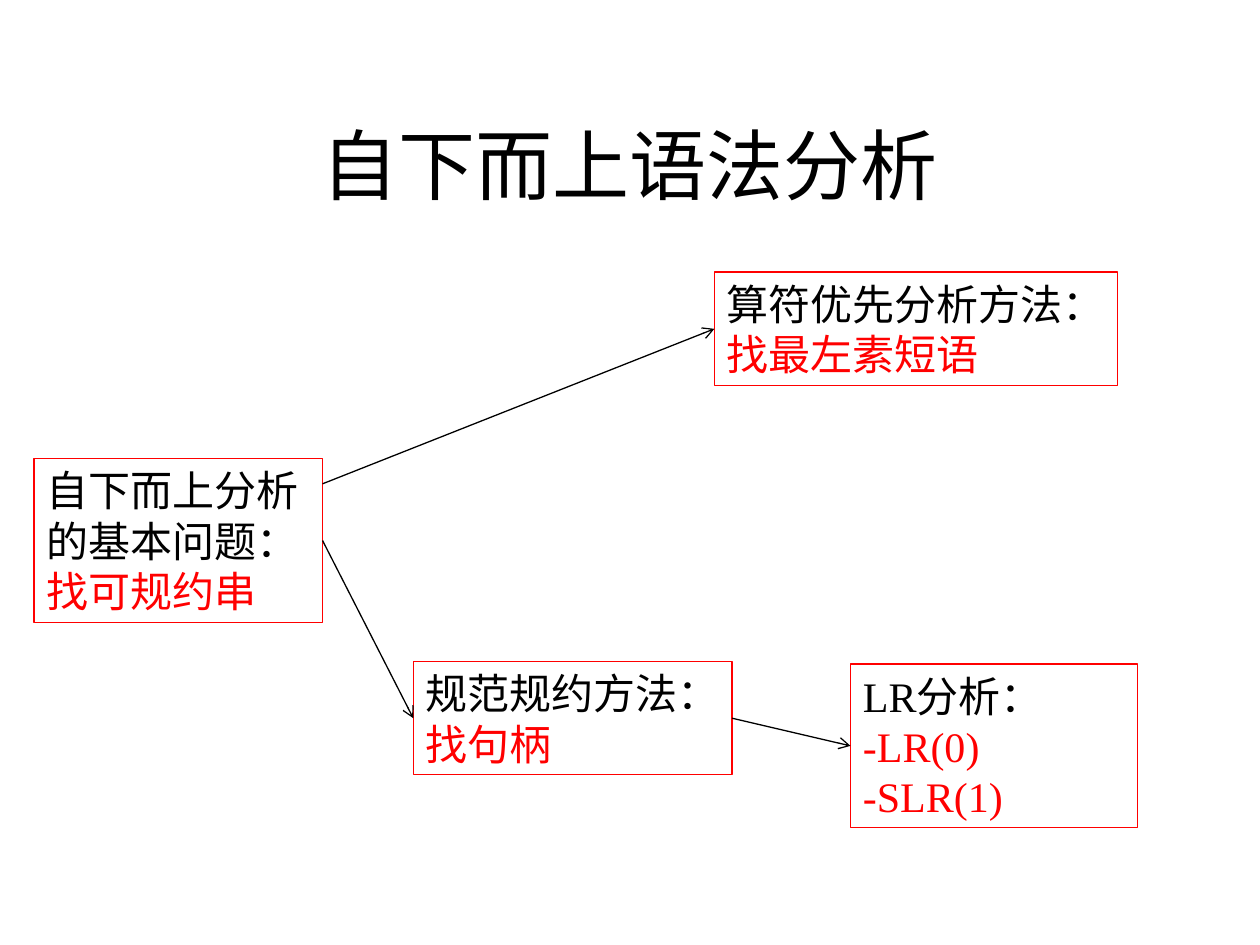
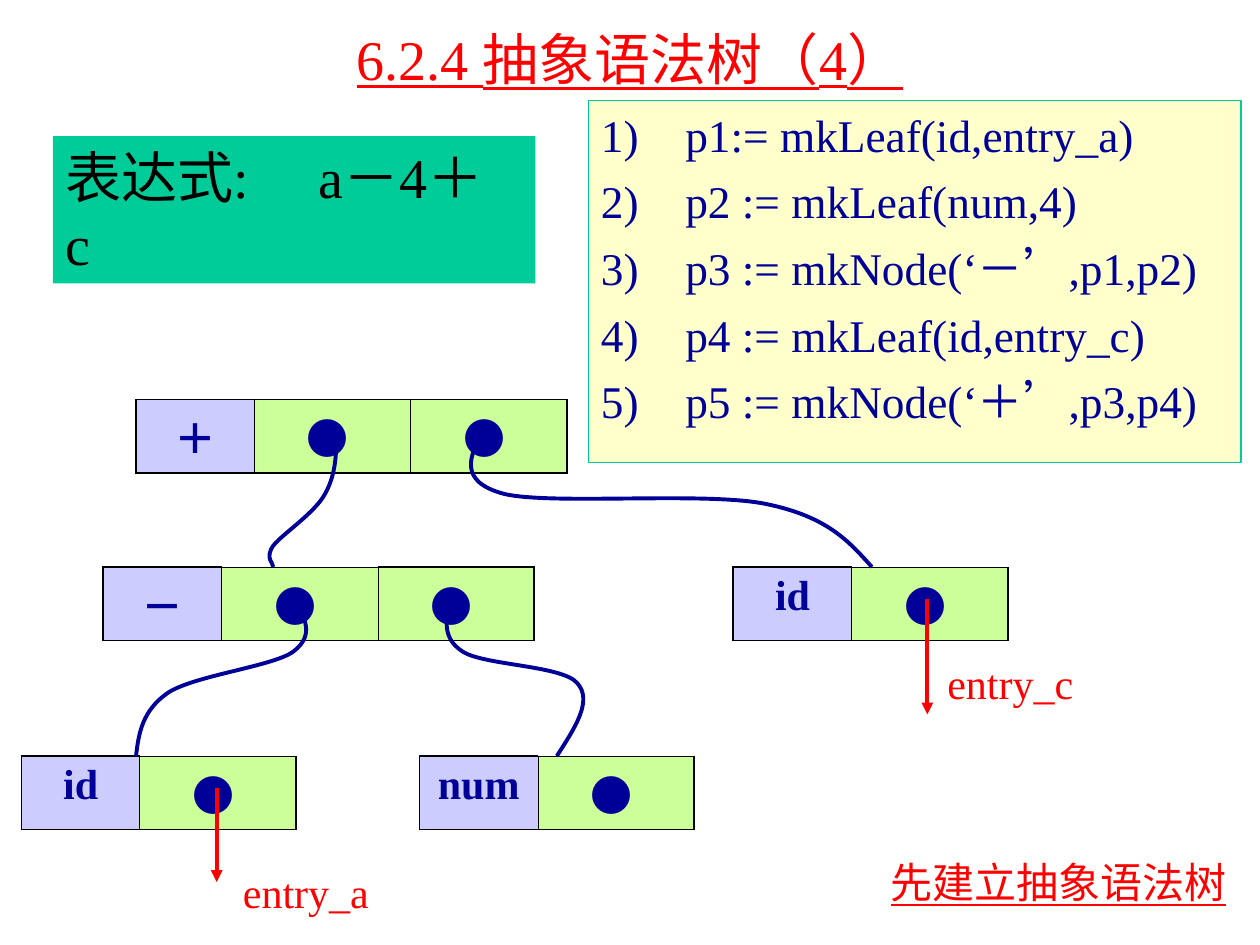
from dataclasses import dataclass

from lxml.etree import SubElement
from pptx import Presentation
from pptx.dml.color import RGBColor as RGB
from pptx.enum.shapes import MSO_CONNECTOR as CONN, MSO_SHAPE as SHAPE
from pptx.enum.text import MSO_ANCHOR as ANCHOR, MSO_AUTO_SIZE as FIT, PP_ALIGN as ALIGN
from pptx.oxml import parse_xml
from pptx.oxml.ns import nsdecls, qn
from pptx.util import Pt

EMU_PER_PX = 9144
LEFT, RIGHT = 1, 3


@dataclass(frozen=True)
class Theme:
    black: str = "000000"
    red: str = "FF0000"
    navy: str = "000099"
    teal: str = "00CC99"
    cream: str = "FFFFCC"
    lilac: str = "CCCCFF"
    lime: str = "CCFF99"
    font: str = "Times New Roman"
    cjk_font: str = "Noto Sans CJK SC"
    body: float = 24
    code: float = 25.9
    heading: float = 32
    title: float = 44
    hairline: float = 0.75
    thin: float = 0.45
    thick: float = 1.08
    curve: float = 2.25


T = Theme()
CELL_WIDTHS = (94, 124, 124)
CELL_HEIGHT = 50


def px(n):
    return round(n * EMU_PER_PX)


def apply(target, formats):
    for name, value in formats.items():
        setattr(target, name, value)


def add_run(p, text, color=T.black, size=T.body, font=T.font, **formats):
    r = p.add_run()
    r.text = text
    apply(r.font, {"name": font, "size": Pt(size), **formats})
    r.font.color.rgb = RGB.from_string(color)
    SubElement(r.font._element, qn("a:ea")).set("typeface", T.cjk_font)


def write(sp, lines, wrap=True, anchor=ANCHOR.TOP, align=ALIGN.LEFT, **formats):
    tf = sp.text_frame
    apply(tf, {"word_wrap": wrap, "vertical_anchor": anchor,
               "auto_size": FIT.NONE if wrap else FIT.SHAPE_TO_FIT_TEXT})
    for i, (text, color) in enumerate(lines):
        p = tf.add_paragraph() if i else tf.paragraphs[0]
        p.alignment = align
        add_run(p, text, color, **formats)
    return sp


def set_line(line, color, width):
    line.color.rgb = RGB.from_string(color)
    line.width = Pt(width)


def add_label(s, box, text, color=T.red, **formats):
    sp = s.shapes.add_textbox(*map(px, box))
    return write(sp, [(text, color)], **formats)


def add_box(s, box, lines, fill=None, line=None, **formats):
    sp = s.shapes.add_shape(SHAPE.RECTANGLE, *map(px, box))
    sp.shadow.inherit = False
    if fill:
        sp.fill.solid()
        sp.fill.fore_color.rgb = RGB.from_string(fill)
    else:
        sp.fill.background()
    if line:
        set_line(sp.line, line, T.hairline)
    else:
        sp.line.fill.background()
    return write(sp, lines, **formats)


def add_arrow(s, start, end, color=T.black, width=T.hairline, head="arrow"):
    c = s.shapes.add_connector(CONN.STRAIGHT, *map(px, (*start, *end)))
    set_line(c.line, color, width)
    SubElement(c.line._get_or_add_ln(), qn("a:tailEnd")).set("type", head)
    SubElement(c._element.spPr, qn("a:effectLst"))
    return c


def add_curve(s, points):
    start, *rest = [tuple(map(px, point)) for point in points]
    fb = s.shapes.build_freeform(*start)
    fb.add_line_segments(rest, close=False)
    sp = fb.convert_to_shape()
    sp.shadow.inherit = False
    sp.fill.background()
    set_line(sp.line, T.navy, T.curve)
    outline = next(sp._element.iter(qn("a:path")))
    segments = outline.findall(qn("a:lnTo"))
    for i in range(0, len(segments), 3):
        cubic = SubElement(outline, qn("a:cubicBezTo"))
        for segment in segments[i:i + 3]:
            cubic.append(segment[0])
            outline.remove(segment)


def set_borders(cell, left, right, top, bottom):
    tc_pr = cell._tc.get_or_add_tcPr()
    for i, (side, width) in enumerate(zip("LRTB", (left, right, top, bottom))):
        tc_pr.insert(i, parse_xml(
            f'<a:ln{side} {nsdecls("a")} w="{Pt(width)}"><a:solidFill>'
            f'<a:srgbClr val="{T.black}"/></a:solidFill></a:ln{side}>'))


def add_node(s, left, top, symbol, pointers):
    widths = CELL_WIDTHS[:pointers + 1]
    table = s.shapes.add_table(
        1, len(widths), *map(px, (left, top, sum(widths), CELL_HEIGHT))).table
    apply(table, {"first_row": False, "horz_banding": False})
    for i, width in enumerate(widths):
        table.columns[i].width = px(width)
        cell = table.cell(0, i)
        cell.fill.solid()
        cell.fill.fore_color.rgb = RGB.from_string(T.lime if i else T.lilac)
        set_borders(cell,
                    T.thin if i else T.thick,
                    T.thick if i == pointers else T.thin,
                    T.thin if i == 1 else T.thick,
                    T.thick)
        p = cell.text_frame.paragraphs[0]
        p.alignment = ALIGN.CENTER
        if i:
            add_run(p, "● ", T.navy, font=T.cjk_font)
        else:
            add_run(p, symbol, T.navy, bold=True)


def number_lines(sp, indent, gap):
    for i, p in enumerate(sp.text_frame.paragraphs):
        if i:
            p.space_before = Pt(gap)
        p_pr = p._p.get_or_add_pPr()
        p_pr.set("marL", str(px(indent)))
        p_pr.set("indent", str(-px(indent)))
        SubElement(p_pr, qn("a:buFont")).set("typeface", T.font)
        SubElement(p_pr, qn("a:buAutoNum")).set("type", "arabicParenR")


def add_tab(sp, position):
    p_pr = sp.text_frame.paragraphs[0]._p.get_or_add_pPr()
    tab = SubElement(SubElement(p_pr, qn("a:tabLst")), qn("a:tab"))
    tab.set("pos", str(px(position)))
    tab.set("algn", "l")


def build_methods(s):
    def method(box, heading, *goals, wrap=False):
        lines = [(heading, T.black), *((goal, T.red) for goal in goals)]
        return add_box(s, box, lines, line=T.red, wrap=wrap)

    problem = method((27, 364, 229, 130), "自下而上分析的基本问题：",
                     "找可规约串", wrap=True)
    canonical = method((328, 525, 253, 90), "规范规约方法：", "找句柄")
    precedence = method((567, 216, 320, 90), "算符优先分析方法：", "找最左素短语")
    lr = method((675, 527, 228, 130), "LR分析：", "-LR(0)", "-SLR(1)", wrap=True)

    for start, end, source, target in (
        ((256, 429), (328, 570), problem, canonical),
        ((256, 384), (567, 261), None, precedence),
        ((581, 570), (675, 592), canonical, lr),
    ):
        c = add_arrow(s, start, end)
        if source:
            c.begin_connect(source, RIGHT)
        c.end_connect(target, LEFT)

    add_label(s, (75, 67, 850, 125), "自下而上语法分析", T.black,
              size=T.title, anchor=ANCHOR.MIDDLE, align=ALIGN.CENTER)


def build_syntax_tree(s):
    add_label(s, (75, 17, 850, 58), "6.2.4 抽象语法树（4）", size=T.heading,
              underline=True, anchor=ANCHOR.MIDDLE, align=ALIGN.CENTER)

    calls = ("p1:= mkLeaf(id,entry_a)", "p2 := mkLeaf(num,4)",
             "p3 := mkNode(‘－’,p1,p2)", "p4 := mkLeaf(id,entry_c)",
             "p5 := mkNode(‘＋’,p3,p4)")
    steps = add_box(s, (467, 80, 518, 287), [(call, T.navy) for call in calls],
                    fill=T.cream, line=T.teal, size=T.code)
    number_lines(steps, 67, 7)

    expression = add_box(s, (42, 108, 383, 117), [("表达式:\ta－4＋c", T.black)],
                         fill=T.teal, size=T.heading)
    expression.text_frame.margin_right = px(30)
    add_tab(expression, 201)

    for node in ((108, 317, "＋", 2), (82, 450, "－", 2), (582, 450, "id", 1),
                 (333, 600, "num", 1), (17, 600, "id", 1)):
        add_node(s, *node)

    for points in (
        [(267, 342), (267, 359), (267, 376), (258, 392), (250, 407),
         (224, 424), (217, 433), (210, 443), (217, 447), (217, 450)],
        [(383, 342), (373, 362), (363, 382), (400, 392), (438, 401),
         (560, 390), (608, 400), (657, 410), (674, 430), (692, 450)],
        [(233, 475), (242, 490), (250, 504), (233, 517), (217, 529),
         (154, 536), (133, 550), (113, 564), (110, 582), (108, 600)],
        [(358, 475), (354, 490), (350, 506), (367, 517), (383, 528),
         (446, 528), (458, 542), (471, 556), (456, 578), (442, 600)],
    ):
        add_curve(s, points)

    for x, top, bottom, box, entry in (
        (172, 625, 700, (183, 683, 133, 50), "entry_a"),
        (736, 475, 567, (742, 517, 133, 50), "entry_c"),
    ):
        add_arrow(s, (x, top), (x, bottom), T.red, T.curve, "triangle")
        add_label(s, box, entry)

    add_label(s, (697, 675, 287, 50), "先建立抽象语法树", underline=True, wrap=False)


def main():
    prs = Presentation()
    apply(prs, {"slide_width": px(1000), "slide_height": px(750)})
    for build in (build_methods, build_syntax_tree):
        build(prs.slides.add_slide(prs.slide_layouts[6]))
    prs.save("out.pptx")


if __name__ == "__main__":
    main()
